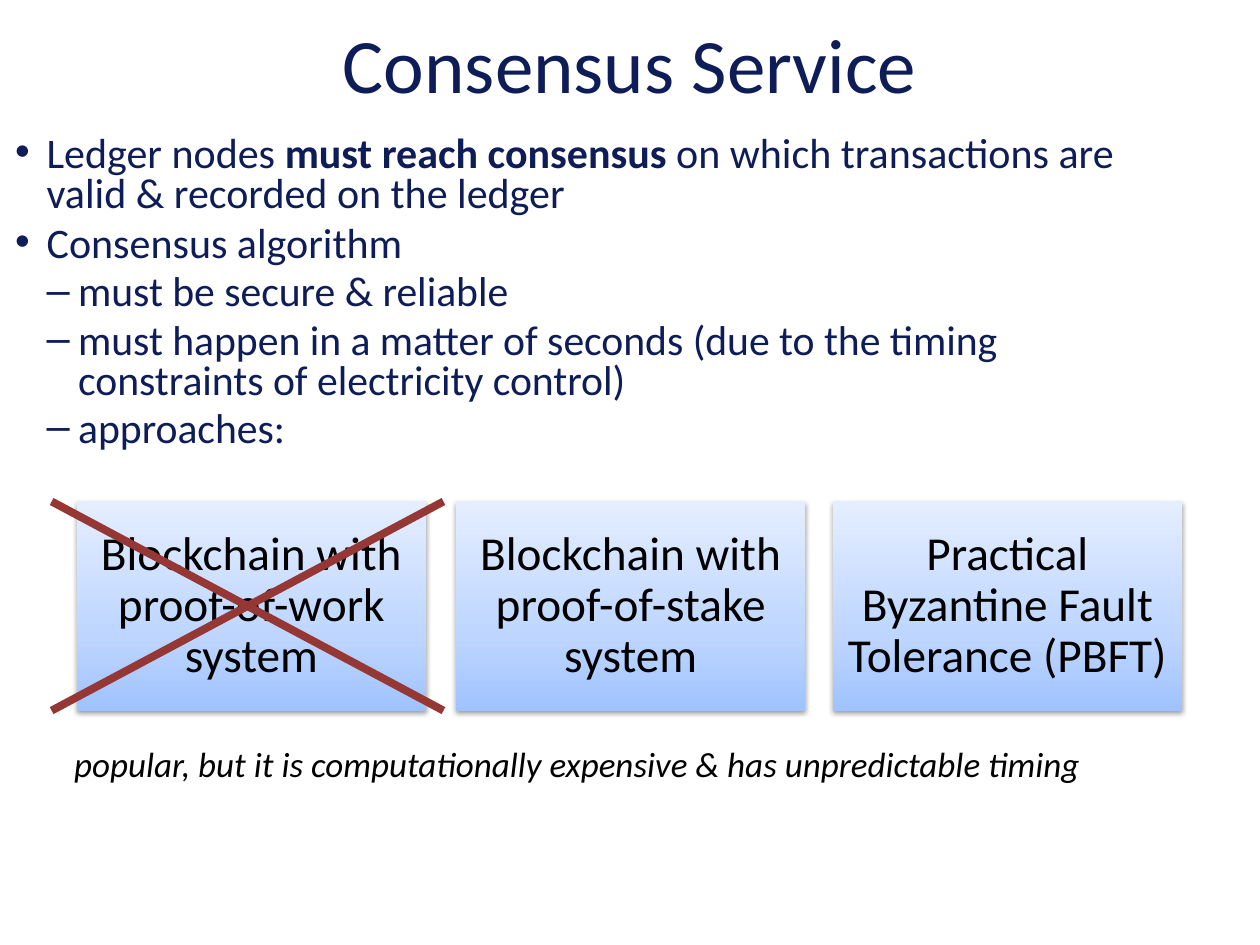
from lxml import etree
from pptx import Presentation
from pptx.dml.color import RGBColor
from pptx.enum.shapes import MSO_CONNECTOR, MSO_SHAPE
from pptx.enum.text import MSO_ANCHOR, MSO_AUTO_SIZE, PP_ALIGN
from pptx.oxml.ns import qn
from pptx.util import Inches, Pt

RECT, LINE = MSO_SHAPE.RECTANGLE, MSO_CONNECTOR.STRAIGHT
CENTER, MIDDLE = PP_ALIGN.CENTER, MSO_ANCHOR.MIDDLE
NO_FIT = MSO_AUTO_SIZE.NONE

NAVY, BLACK, RED = "0E1C58", "000000", "953734"
BLUES = [(0, "9FC3FF"), (35, "BDD5FF"), (100, "E4EEFF")]
TOP, WIDTH, HIGH = 3.98, 2.77, 1.66

# Each point: level, then runs of (text, bold)
POINTS = [
    (0, [("Ledger nodes ", False), ("must reach consensus ", True),
         ("on which transactions are valid & recorded on the ledger", False)]),
    (0, [("Consensus algorithm", False)]),
    (1, [("must be secure & reliable", False)]),
    (1, [("must happen in a matter of seconds (due to the timing "
          "constraints of electricity control)", False)]),
    (1, [("approaches:", False)]),
]
# Each approach: left edge, text
BOXES = [
    (0.61, "Blockchain with proof-of-work system"),
    (3.62, "Blockchain with proof-of-stake system"),
    (6.61, "Practical Byzantine Fault Tolerance (PBFT)"),
]


def color(code):
    return RGBColor.from_string(code)


def place(shape, left, top, width, height):
    shape.left, shape.top = Inches(left), Inches(top)
    shape.width, shape.height = Inches(width), Inches(height)


def write(para, text, size=24, ink=BLACK, bold=False, italic=False,
          align=None, lines=None):
    run = para.add_run()
    run.text = text
    font = run.font
    font.name, font.size = "Calibri", Pt(size)
    font.bold, font.italic = bold, italic
    font.color.rgb = color(ink)
    if align is not None:
        para.alignment = align
    if lines:
        para.line_spacing = lines


def add_node(parent, tag, **attrs):
    return etree.SubElement(parent, qn(tag), {k: str(v) for k, v in attrs.items()})


def add_title(slide, text):
    title = slide.shapes.title
    place(title, 0, 0.07, 10, 0.86)
    frame = title.text_frame
    frame.auto_size, frame.vertical_anchor = NO_FIT, MIDDLE
    write(frame.paragraphs[0], text, size=44, ink=NAVY, align=CENTER)


def add_list(slide, points):
    body = slide.placeholders[1]
    place(body, 0.02, 1.03, 9, 2.93)
    frame = body.text_frame
    frame.auto_size = NO_FIT
    for i, (level, runs) in enumerate(points):
        para = frame.paragraphs[0] if i == 0 else frame.add_paragraph()
        para.level = level
        para.space_before = Pt(0 if i == 0 else 4.8 if level else 5.4)
        # Hanging indent, one quarter inch per level
        props = para._p.get_or_add_pPr()
        props.set("marL", str(Inches(0.25 * (level + 1))))
        props.set("indent", str(Inches(-0.25)))
        for text, bold in runs:
            write(para, text, size=23.8 if level else 24, ink=NAVY,
                  bold=bold, lines=0.8)


def shade(shape):
    """Three-stop blue gradient, light at the top, with a soft shadow."""
    shape.fill.gradient()
    shape.fill.gradient_angle = 90
    props = shape._element.spPr
    stops = props.find(".//" + qn("a:gsLst"))
    for old in list(stops):
        stops.remove(old)
    for pos, code in BLUES:
        stop = add_node(stops, "a:gs", pos=pos * 1000)
        add_node(stop, "a:srgbClr", val=code)
    shape.line.fill.background()
    shape.shadow.inherit = False
    shadow = add_node(props.find(qn("a:effectLst")), "a:outerShdw",
                      blurRad=Pt(3.1), dist=Pt(1.6), dir=90 * 60000,
                      rotWithShape=0)
    ink = add_node(shadow, "a:srgbClr", val=BLACK)
    add_node(ink, "a:alpha", val=38000)


def add_box(slide, left, text):
    box = slide.shapes.add_shape(RECT, Inches(left), Inches(TOP),
                                 Inches(WIDTH), Inches(HIGH))
    shade(box)
    frame = box.text_frame
    frame.word_wrap, frame.vertical_anchor = True, MIDDLE
    frame.margin_left = frame.margin_right = Inches(0.11)
    frame.margin_top = frame.margin_bottom = Inches(0.11)
    write(frame.paragraphs[0], text, size=27, align=CENTER, lines=0.9)


def add_line(slide, x1, y1, x2, y2):
    line = slide.shapes.add_connector(LINE, Inches(x1), Inches(y1),
                                      Inches(x2), Inches(y2))
    line.line.color.rgb = color(RED)
    line.line.width = Pt(4.5)
    add_node(line._element.spPr, "a:effectLst")


def add_note(slide, text):
    note = slide.shapes.add_textbox(Inches(0.49), Inches(5.84),
                                    Inches(8.64), Inches(0.71))
    note.text_frame.word_wrap = True
    write(note.text_frame.paragraphs[0], text, size=20, italic=True)


def main():
    deck = Presentation()
    deck.slide_width, deck.slide_height = Inches(10), Inches(7.5)
    slide = deck.slides.add_slide(deck.slide_layouts[1])

    add_title(slide, "Consensus Service")
    add_list(slide, POINTS)

    # Approaches
    for left, text in BOXES:
        add_box(slide, left, text)

    # Cross over the rejected approach
    base = TOP + HIGH
    add_line(slide, 0.41, base, 3.52, TOP)
    add_line(slide, 0.41, TOP, 3.52, base)

    add_note(slide, "popular, but it is computationally expensive "
                    "& has unpredictable timing")
    deck.save("out.pptx")


if __name__ == "__main__":
    main()
